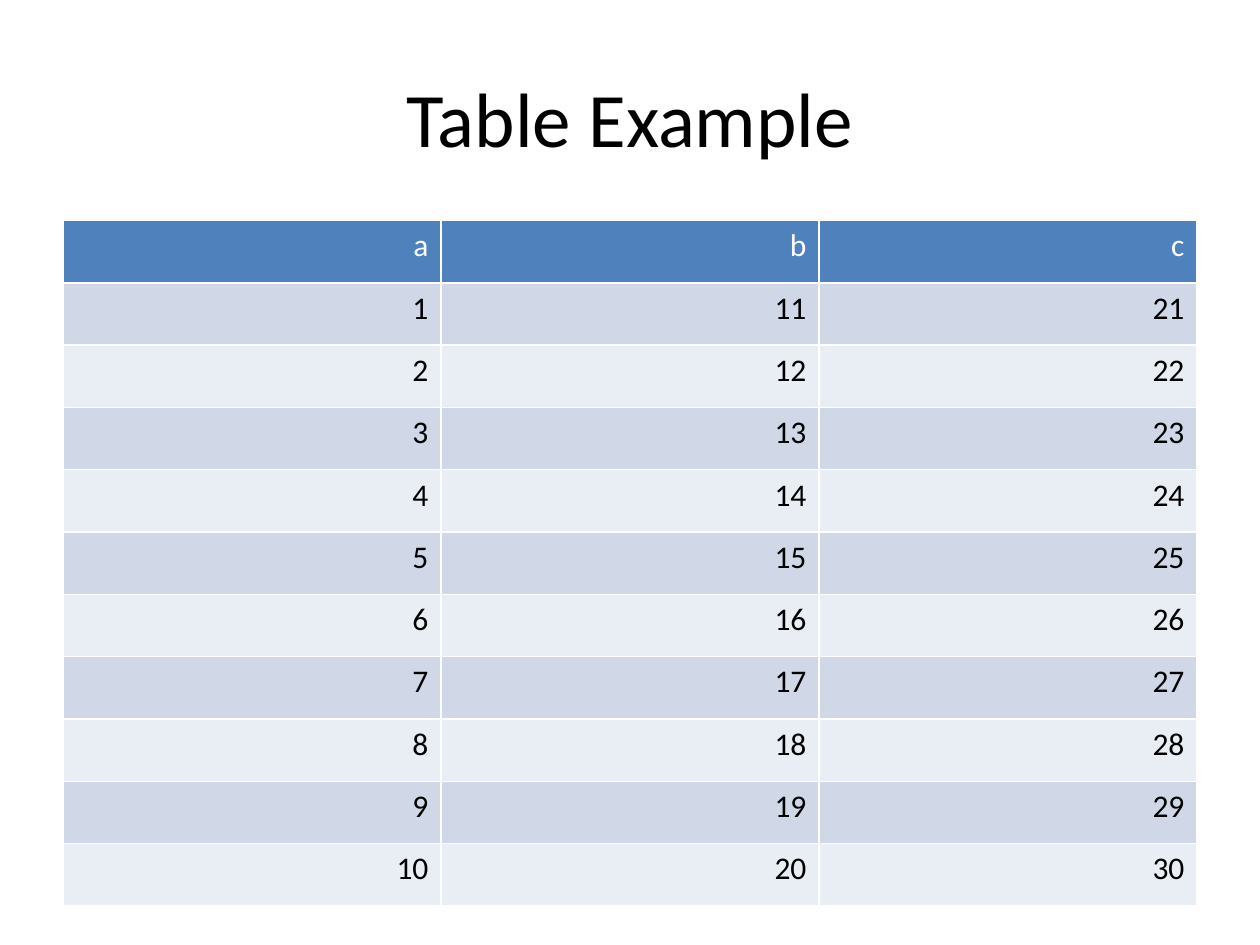
"""Build a slide with a title above a banded table of three number columns."""
from lxml.etree import SubElement
from pptx import Presentation
from pptx.dml.color import RGBColor
from pptx.enum.text import MSO_ANCHOR, PP_ALIGN
from pptx.oxml.ns import qn
from pptx.util import Inches, Pt

THEME = {
    "header": "4F81BD",
    "bands": ("D0D8E8", "E9EDF4"),
    "rule": "FFFFFF",
    "rule_width": Pt(1),
    "title_text": {"name": "Calibri", "size": Pt(44), "bold": False, "color": "000000"},
    "header_text": {"name": "Calibri", "size": Pt(18), "bold": False, "color": "FFFFFF"},
    "body_text": {"name": "Calibri", "size": Pt(18), "bold": False, "color": "000000"},
}


def write(frame, wording, text_format, alignment):
    paragraph = frame.paragraphs[0]
    paragraph.alignment = alignment
    run = paragraph.add_run()
    run.text = wording
    for attribute, value in text_format.items():
        if attribute == "color":
            run.font.color.rgb = RGBColor.from_string(value)
        else:
            setattr(run.font, attribute, value)


def rule_cell(cell):
    properties = cell._tc.get_or_add_tcPr()
    for side in ("a:lnL", "a:lnR", "a:lnT", "a:lnB"):
        line = SubElement(properties, qn(side), w=str(THEME["rule_width"]))
        SubElement(SubElement(line, qn("a:solidFill")), qn("a:srgbClr"), val=THEME["rule"])


deck = Presentation()
deck.slide_width, deck.slide_height = Inches(10), Inches(7.5)
slide = deck.slides.add_slide(deck.slide_layouts[6])
margin = deck.slide_width // 20
content_width = deck.slide_width - 2 * margin

title = slide.shapes.add_textbox(
    margin, int(deck.slide_height * 0.04), content_width, deck.slide_height // 6
).text_frame
title.word_wrap = True
title.vertical_anchor = MSO_ANCHOR.MIDDLE
write(title, "Table Example", THEME["title_text"], PP_ALIGN.CENTER)

numbers = [[str(first + step) for first in (1, 11, 21)] for step in range(10)]
records = [["a", "b", "c"], *numbers]
table = slide.shapes.add_table(
    len(records), len(records[0]), margin, Inches(1.75), content_width, Inches(5.44)
).table

for row, record in enumerate(records):
    fill_color = THEME["bands"][(row - 1) % 2] if row else THEME["header"]
    text_format = THEME["body_text"] if row else THEME["header_text"]
    for column, wording in enumerate(record):
        cell = table.cell(row, column)
        rule_cell(cell)
        cell.fill.solid()
        cell.fill.fore_color.rgb = RGBColor.from_string(fill_color)
        write(cell.text_frame, wording, text_format, PP_ALIGN.RIGHT)

deck.save("out.pptx")
